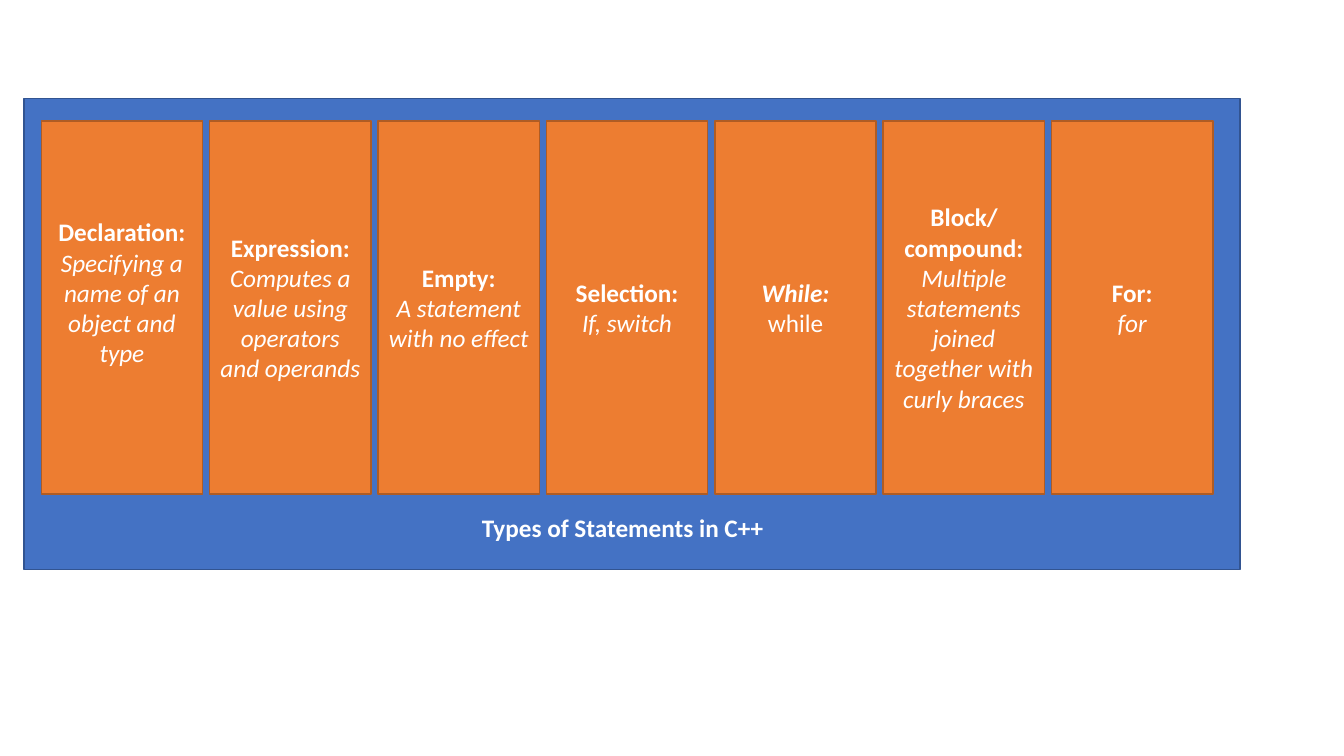
from pptx import Presentation
from pptx.dml.color import RGBColor
from pptx.enum.shapes import MSO_SHAPE
from pptx.enum.text import MSO_ANCHOR, PP_ALIGN
from pptx.util import Inches, Pt

RECT = MSO_SHAPE.RECTANGLE
MIDDLE = MSO_ANCHOR.MIDDLE
CENTER, LEFT = PP_ALIGN.CENTER, PP_ALIGN.LEFT

BLUE = RGBColor(0x44, 0x72, 0xC4)
NAVY = RGBColor(0x32, 0x54, 0x91)
ORANGE = RGBColor(0xED, 0x7D, 0x31)
RUST = RGBColor(0xAF, 0x5C, 0x24)
WHITE = RGBColor(0xFF, 0xFF, 0xFF)


class Board:
    """Holds the text style and the current slide."""
    font, size, color = "Calibri", Pt(18), WHITE

    def __init__(self, slide):
        self.slide = slide

    def set_text(self, frame, lines, align):
        """Each line is (text, bold, italic)."""
        frame.word_wrap = True
        for i, (text, bold, italic) in enumerate(lines):
            para = frame.add_paragraph() if i else frame.paragraphs[0]
            para.text = text
            para.alignment = align
            font = para.font
            font.name, font.size = self.font, self.size
            font.bold, font.italic = bold, italic
            font.color.rgb = self.color

    def box(self, left, top, width, height, fill, line):
        shape = self.slide.shapes.add_shape(
            RECT, Inches(left), Inches(top), Inches(width), Inches(height))
        shape.shadow.inherit = False
        shape.fill.solid()
        shape.fill.fore_color.rgb = fill
        shape.line.color.rgb = line
        shape.line.width = Pt(1)
        return shape

    def card(self, left, top, width, height, lines, lift=0):
        """A centred text card; lift is extra room below the text."""
        frame = self.box(left, top, width, height, ORANGE, RUST).text_frame
        frame.vertical_anchor = MIDDLE
        frame.margin_bottom = Inches(0.05 + lift)
        self.set_text(frame, lines, CENTER)

    def label(self, left, top, width, height, text):
        area = self.slide.shapes.add_textbox(
            Inches(left), Inches(top), Inches(width), Inches(height))
        self.set_text(area.text_frame, [(text, True, False)], LEFT)


deck = Presentation()
deck.slide_width, deck.slide_height = Inches(13.33), Inches(7.5)
board = Board(deck.slides.add_slide(deck.slide_layouts[6]))

# Panel
board.box(0.24, 0.98, 12.06, 4.67, BLUE, NAVY)

# Statement cards: name, detail, name in italics, lift
KINDS = [
    ("Declaration:", "Specifying a name of an object and type", False, 0.3),
    ("Expression:", "Computes a value using operators and operands", False, 0),
    ("Empty:", "A statement with no effect", False, 0),
    ("Selection:", "If, switch", False, 0),
    ("While:", "while", True, 0),
    ("Block/compound:",
     "Multiple statements joined together with curly braces", False, 0),
    ("For:", "for", False, 0),
]
START, PITCH = 0.41, 1.67
for i, (name, detail, slant, lift) in enumerate(KINDS):
    lines = [(name, True, slant), (detail, False, not slant)]
    board.card(START + i * PITCH, 1.2, 1.6, 3.7, lines, lift)

# Caption
board.label(4.68, 5.03, 3.98, 0.42, "Types of Statements in C++")

deck.save("out.pptx")
